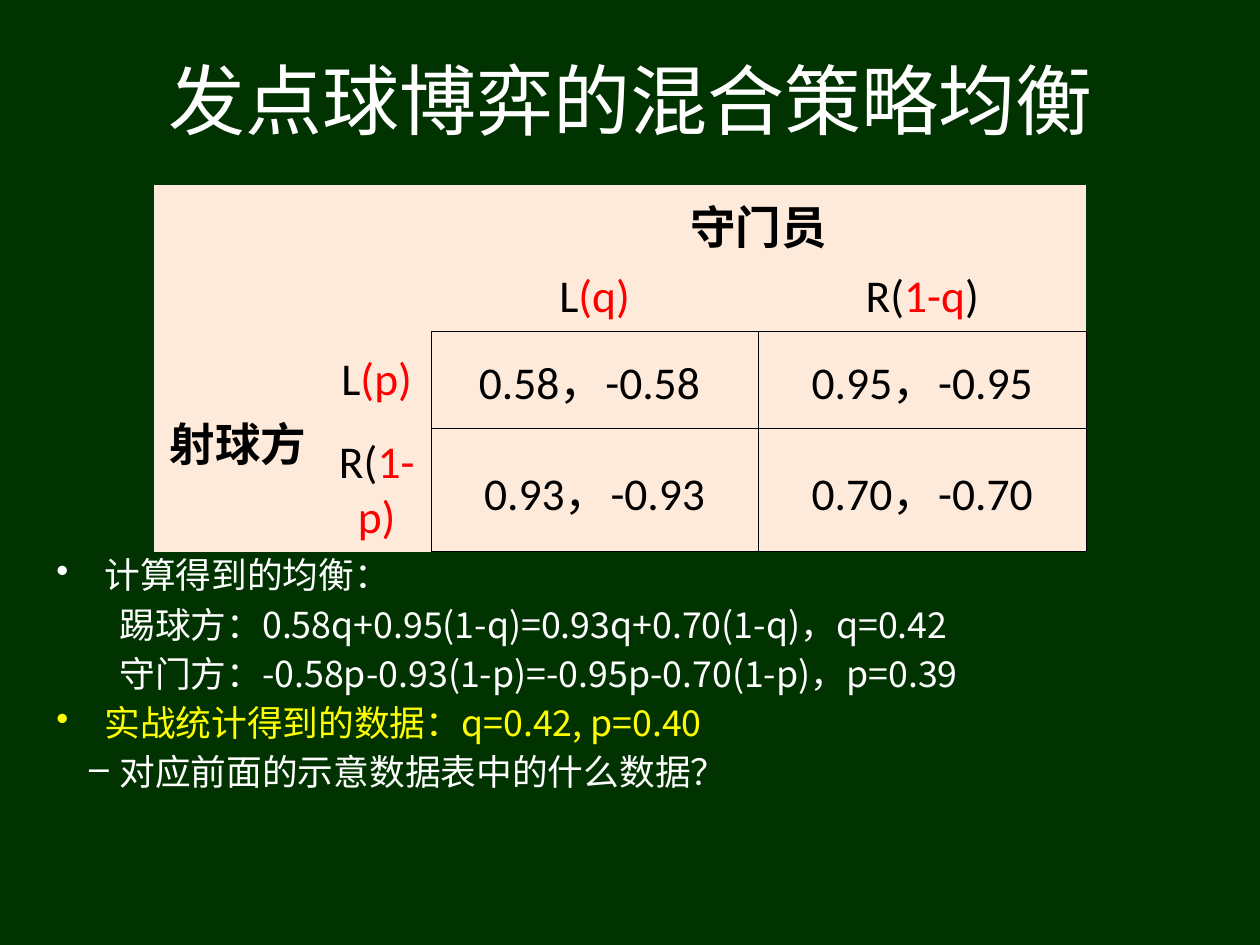
import pptx
import pptx.util
import pptx.dml.color
import pptx.enum.text
import pptx.oxml
import pptx.oxml.ns

WIDTH, HEIGHT = 10, 7.5
CJK = "Noto Sans CJK SC"
WHITE, BLACK, RED, YELLOW = "FFFFFF", "000000", "FF0000", "FFFF00"
DARK_GREEN, PEACH = "003300", "FDEADA"
NO_STYLE = "{2D5ABB26-0587-4C30-8999-92F81FD0307C}"
CENTER = pptx.enum.text.PP_ALIGN.CENTER
MIDDLE = pptx.enum.text.MSO_ANCHOR.MIDDLE
COLUMNS = (1.34, 0.86, 2.6, 2.6)
ROWS = (0.61, 0.55, 0.77, 0.98)

PAYOFFS = {
    (0, 2): [("守门员", BLACK, True)],
    (1, 2): [("L", BLACK, False), ("(q)", RED, False)],
    (1, 3): [("R(", BLACK, False), ("1-q", RED, False), (")", BLACK, False)],
    (2, 0): [("射球方", BLACK, True)],
    (2, 1): [("L", BLACK, False), ("(p)", RED, False)],
    (2, 2): [("0.58，-0.58 ", BLACK, False)],
    (2, 3): [("0.95，-0.95", BLACK, False)],
    (3, 1): [("R(", BLACK, False), ("1-p)", RED, False)],
    (3, 2): [("0.93，-0.93", BLACK, False)],
    (3, 3): [("0.70，-0.70", BLACK, False)],
}

NOTES = [
    (0, "•", "计算得到的均衡：", WHITE),
    (1, None, "踢球方：0.58q+0.95(1-q)=0.93q+0.70(1-q)，q=0.42", WHITE),
    (1, None, "守门方：-0.58p-0.93(1-p)=-0.95p-0.70(1-p)，p=0.39", WHITE),
    (0, "•", "实战统计得到的数据：q=0.42, p=0.40", YELLOW),
    (1, "–", "对应前面的示意数据表中的什么数据？", WHITE),
]


def color(value):
    return pptx.dml.color.RGBColor.from_string(value)


def set_values(target, values):
    for name, value in values.items():
        setattr(target, name, value)


def add_xml(parent, xml, position=None):
    declared = xml.replace(" ", f" {pptx.oxml.ns.nsdecls('a')} ", 1)
    element = pptx.oxml.parse_xml(declared)
    parent.insert(len(parent) if position is None else position, element)


def place(sp, left, top, width, height):
    box = {"left": left, "top": top, "width": width, "height": height}
    set_values(sp, {k: pptx.util.Inches(v) for k, v in box.items()})


def add_run(p, text, size, font, fill, bold=False):
    r = p.add_run()
    r.text = text
    set_values(r.font, {"size": pptx.util.Pt(size), "name": font, "bold": bold})
    r.font.color.rgb = color(fill)
    add_xml(r.font._element, f'<a:ea typeface="{CJK}"/>')


def add_title(s, text):
    sp = s.shapes.title
    place(sp, 0.51, 0.28, 9, 1.01)
    sp.text_frame.vertical_anchor = MIDDLE
    p = sp.text_frame.paragraphs[0]
    p.alignment = CENTER
    add_run(p, text, 44, CJK, WHITE)


def set_indent(p, level, bullet, fill):
    left, hang = ((0.38, 0.38), (0.5, 0.24))[level]
    pPr = p._p.get_or_add_pPr()
    pPr.set("marL", str(pptx.util.Inches(left)))
    pPr.set("indent", str(-pptx.util.Inches(hang) if bullet else 0))
    if bullet:
        add_xml(pPr, f'<a:buClr ><a:srgbClr val="{fill}"/></a:buClr>')
        add_xml(pPr, f'<a:buChar char="{bullet}"/>')
    else:
        add_xml(pPr, "<a:buNone />")


def add_notes(s):
    sp = s.shapes.add_textbox(0, 0, 0, 0)
    place(sp, 0.35, 4.38, 9, 2.91)
    tf = sp.text_frame
    tf.word_wrap = True
    for i, (level, bullet, text, fill) in enumerate(NOTES):
        p = tf.add_paragraph() if i else tf.paragraphs[0]
        set_indent(p, level, bullet, fill)
        spacing = pptx.util.Pt(6 if i else 0)
        set_values(p, {"level": level, "line_spacing": 0.9, "space_before": spacing})
        add_run(p, text, 20.4, CJK, fill)


def add_borders(cell):
    for i, side in enumerate(("lnL", "lnR", "lnT", "lnB")):
        add_xml(
            cell._tc.get_or_add_tcPr(),
            f'<a:{side} w="{pptx.util.Pt(0.45)}"><a:solidFill>'
            f'<a:srgbClr val="{BLACK}"/></a:solidFill></a:{side}>',
            i,
        )


def fill_cell(cell, runs):
    cell.fill.solid()
    cell.fill.fore_color.rgb = color(PEACH)
    cell.vertical_anchor = MIDDLE
    p = cell.text_frame.paragraphs[0]
    p.alignment = CENTER
    for text, fill, bold in runs:
        add_run(p, text, 26, "Calibri", fill, bold)


def add_payoff_table(s):
    frame = s.shapes.add_table(len(ROWS), len(COLUMNS), 0, 0, 0, 0)
    place(frame, 1.22, 1.47, sum(COLUMNS), sum(ROWS))
    table = frame.table
    set_values(table, {"first_row": False, "horz_banding": False})
    table._tbl.tblPr.find(pptx.oxml.ns.qn("a:tableStyleId")).text = NO_STYLE
    for column, width in zip(table.columns, COLUMNS):
        column.width = pptx.util.Inches(width)
    for row, height in zip(table.rows, ROWS):
        row.height = pptx.util.Inches(height)
    table.cell(0, 2).merge(table.cell(0, 3))
    table.cell(2, 0).merge(table.cell(3, 0))
    for r in range(len(ROWS)):
        for c in range(len(COLUMNS)):
            fill_cell(table.cell(r, c), PAYOFFS.get((r, c), []))
            if r >= 2 and c >= 2:
                add_borders(table.cell(r, c))


def main():
    prs = pptx.Presentation()
    prs.slide_width = pptx.util.Inches(WIDTH)
    prs.slide_height = pptx.util.Inches(HEIGHT)
    s = prs.slides.add_slide(prs.slide_layouts[5])
    s.background.fill.solid()
    s.background.fill.fore_color.rgb = color(DARK_GREEN)
    add_title(s, "发点球博弈的混合策略均衡")
    add_notes(s)
    add_payoff_table(s)
    prs.save("out.pptx")


if __name__ == "__main__":
    main()
